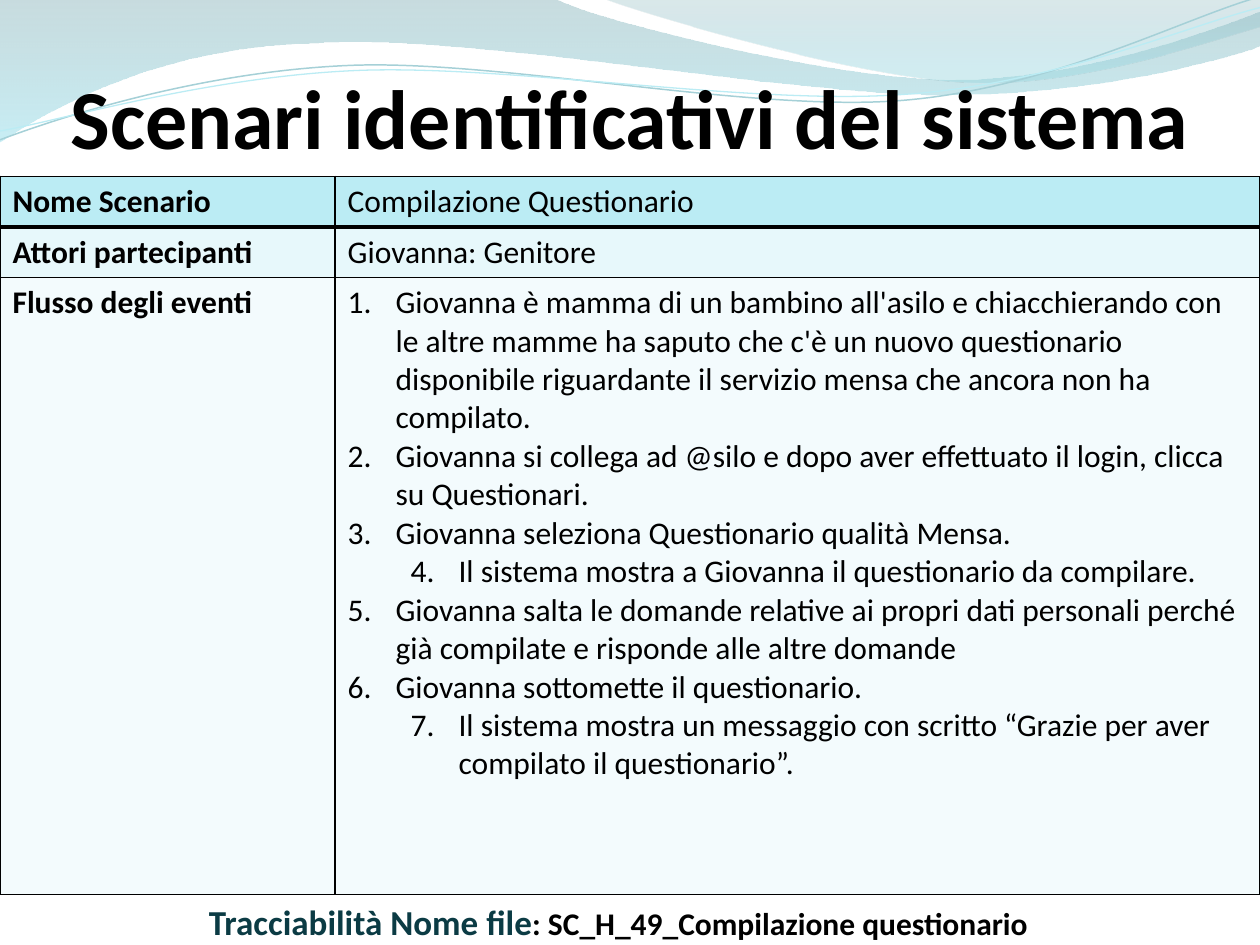
from lxml.etree import SubElement
from pptx import Presentation
from pptx.dml.color import RGBColor
from pptx.enum.text import MSO_ANCHOR, PP_ALIGN
from pptx.oxml.ns import qn
from pptx.util import Inches, Pt

WIDTH, HEIGHT = 10, 7.5
FONT = "Calibri"
BLACK = RGBColor(0x00, 0x00, 0x00)
TEAL_DARK = RGBColor(0x0B, 0x3B, 0x44)
HEADER_FILL = RGBColor(0xBB, 0xEC, 0xF4)
ACTOR_FILL = RGBColor(0xE7, 0xF8, 0xFB)
FLOW_FILL = RGBColor(0xF3, 0xFB, 0xFD)
LINE_DARK = RGBColor(0xA5, 0xD0, 0xD7)

LEFT_GRADIENT = [(0, RGBColor(0x86, 0xB2, 0xB9), 45), (1, RGBColor(0x9B, 0xE0, 0xEC), 55)]
RIGHT_GRADIENT = [(0, RGBColor(0x84, 0xB3, 0xBB), 30), (0.8, RGBColor(0x9B, 0xD7, 0xE1), 45)]

LEFT_WAVE = [
    (0, 0), (4.4, -0.01),
    (4.76, 0.17, 6.64, 0.63, 7.58, 0.63), (8.53, 0.63, 9.58, 0.26, 10, 0.09),
    (10.01, 0.36),
    (9.83, 0.44, 8.7, 0.76, 7.46, 0.75), (6.22, 0.75, 3.82, 0.28, 2.57, 0.34),
    (1.29, 0.36, 0.46, 0.83, -0.01, 1.13),
]
RIGHT_WAVE = [
    (4.79, -0.01),
    (5.09, 0.11, 6.82, 0.62, 7.69, 0.65), (8.56, 0.69, 9.61, 0.32, 10, 0.21),
    (10, 0),
]
DARK_CURVE = [
    (0, 1.11),
    (0.48, 0.93, 1.58, 0.57, 2.77, 0.52), (3.95, 0.47, 5.93, 0.89, 7.13, 0.8),
    (8.33, 0.71, 9.38, 0.15, 9.98, -0.02),
]
LIGHT_CURVE = [
    (0, 1.04),
    (0.47, 0.96, 1.64, 0.61, 2.83, 0.56), (4.03, 0.51, 5.97, 0.84, 7.17, 0.75),
    (8.36, 0.67, 9.41, 0.21, 10, 0.06),
]

EVENTS = [
    (0, 1, "Giovanna è mamma di un bambino all'asilo e chiacchierando con le altre mamme ha saputo "
           "che c'è un nuovo questionario disponibile riguardante il servizio mensa che ancora non ha compilato."),
    (0, 1, "Giovanna si collega ad @silo e dopo aver effettuato il login, clicca su Questionari."),
    (0, 1, "Giovanna seleziona Questionario qualità Mensa."),
    (1, 4, "Il sistema mostra a Giovanna il questionario da compilare."),
    (0, 5, "Giovanna salta le domande relative ai propri dati personali perché già compilate e "
           "risponde alle altre domande"),
    (0, 5, "Giovanna sottomette il questionario."),
    (1, None, "7.\tIl sistema mostra un messaggio con scritto “Grazie per aver compilato il questionario”."),
]
ROWS = [
    ("Nome Scenario", [(0, None, "Compilazione Questionario")], HEADER_FILL, 0.4),
    ("Attori partecipanti", [(0, None, "Giovanna: Genitore")], ACTOR_FILL, 0.4),
    ("Flusso degli eventi", EVENTS, FLOW_FILL, 4.9),
]


def set_values(target, values):
    for name, value in values.items():
        setattr(target, name, value)


def bend_segment(line_element, shape, curve):
    line_element.tag = qn("a:cubicBezTo")
    end_point = line_element[0]
    for x, y in (curve[:2], curve[2:4]):
        control = SubElement(line_element, qn("a:pt"))
        control.set("x", str(Inches(x) - shape.left))
        control.set("y", str(Inches(y) - shape.top))
    line_element.append(end_point)


def add_outline(slide, segments, close):
    anchors = [tuple(map(Inches, segment[-2:])) for segment in segments]
    builder = slide.shapes.build_freeform(*anchors[0])
    builder.add_line_segments(anchors[1:], close=close)
    shape = builder.convert_to_shape()
    shape.shadow.inherit = False
    line_elements = list(shape.element.spPr.iter(qn("a:lnTo")))
    for line_element, segment in zip(line_elements, segments[1:]):
        if len(segment) == 6:
            bend_segment(line_element, shape, segment)
    return shape


def add_wave(slide, segments, gradient):
    shape = add_outline(slide, segments, True)
    shape.line.fill.background()
    shape.fill.gradient()
    shape.fill.gradient_angle = 270
    for stop, (position, color, _) in zip(shape.fill.gradient_stops, gradient):
        stop.position = position
        stop.color.rgb = color
    colors = shape.element.spPr.iter(qn("a:srgbClr"))
    for color_element, (_, _, opacity) in zip(colors, gradient):
        SubElement(color_element, qn("a:alpha"), val=str(opacity * 1000))


def add_curve(slide, segments, color, width):
    shape = add_outline(slide, segments, False)
    shape.fill.background()
    shape.line.color.rgb = color
    shape.line.width = Pt(width)


def add_run(paragraph, text, size, bold=True, color=BLACK):
    run = paragraph.add_run()
    run.text = text
    set_values(run.font, {"name": FONT, "size": Pt(size), "bold": bold})
    run.font.color.rgb = color


def add_text(slide, box, runs, alignment, wrap):
    shape = slide.shapes.add_textbox(*map(Inches, box))
    set_values(shape.text_frame, {"word_wrap": wrap, "vertical_anchor": MSO_ANCHOR.TOP})
    paragraph = shape.text_frame.paragraphs[0]
    paragraph.alignment = alignment
    for text, size, color in runs:
        add_run(paragraph, text, size, color=color)


def indent_paragraph(paragraph, level, start):
    properties = paragraph._p.get_or_add_pPr()
    properties.set("marL", str(Inches(0.38 + 0.5 * level)))
    properties.set("indent", str(Inches(-0.38)))
    if start:
        SubElement(properties, qn("a:buFont"), typeface="+mj-lt")
        numbering = SubElement(properties, qn("a:buAutoNum"), type="arabicPeriod")
        if start > 1:
            numbering.set("startAt", str(start))


def set_borders(cell, top, bottom):
    properties = cell._tc.get_or_add_tcPr()
    for side, width in {"L": 1, "R": 1, "T": top, "B": bottom}.items():
        line = SubElement(properties, qn(f"a:ln{side}"), w=str(Pt(width)))
        fill = SubElement(line, qn("a:solidFill"))
        SubElement(fill, qn("a:srgbClr"), val=str(BLACK))


def fill_cell(cell, items, bold, color):
    cell.fill.solid()
    cell.fill.fore_color.rgb = color
    frame = cell.text_frame
    for index, (level, start, text) in enumerate(items):
        paragraph = frame.add_paragraph() if index else frame.paragraphs[0]
        paragraph.level = level
        if start or level:
            indent_paragraph(paragraph, level, start)
        add_run(paragraph, text, 18, bold)


def add_scenario_table(slide):
    box = (0, 1.4, WIDTH, sum(row[3] for row in ROWS))
    table = slide.shapes.add_table(len(ROWS), 2, *map(Inches, box)).table
    set_values(table, {"first_row": False, "horz_banding": False})
    for column, width in zip(table.columns, (2.66, 7.34)):
        column.width = Inches(width)
    for index, (label, items, color, height) in enumerate(ROWS):
        table.rows[index].height = Inches(height)
        for column, content in enumerate(([(0, None, label)], items)):
            cell = table.cell(index, column)
            set_borders(cell, 3 if index == 1 else 1, 3 if index == 0 else 1)
            fill_cell(cell, content, column == 0, color)


def main():
    presentation = Presentation()
    set_values(presentation, {"slide_width": Inches(WIDTH), "slide_height": Inches(HEIGHT)})
    slide = presentation.slides.add_slide(presentation.slide_layouts[6])
    add_wave(slide, LEFT_WAVE, LEFT_GRADIENT)
    add_wave(slide, RIGHT_WAVE, RIGHT_GRADIENT)
    add_curve(slide, DARK_CURVE, LINE_DARK, 0.85)
    add_curve(slide, LIGHT_CURVE, HEADER_FILL, 0.75)
    add_text(slide, (0, 0.47, WIDTH, 1.21),
             [("Scenari identificativi del sistema", 48, BLACK)], PP_ALIGN.CENTER, True)
    add_scenario_table(slide)
    add_text(slide, (1.56, 7.1, 6.76, 0.44),
             [("Tracciabilità Nome file", 20, TEAL_DARK),
              (": SC_H_49_Compilazione questionario", 18, BLACK)], PP_ALIGN.LEFT, False)
    presentation.save("out.pptx")


if __name__ == "__main__":
    main()
